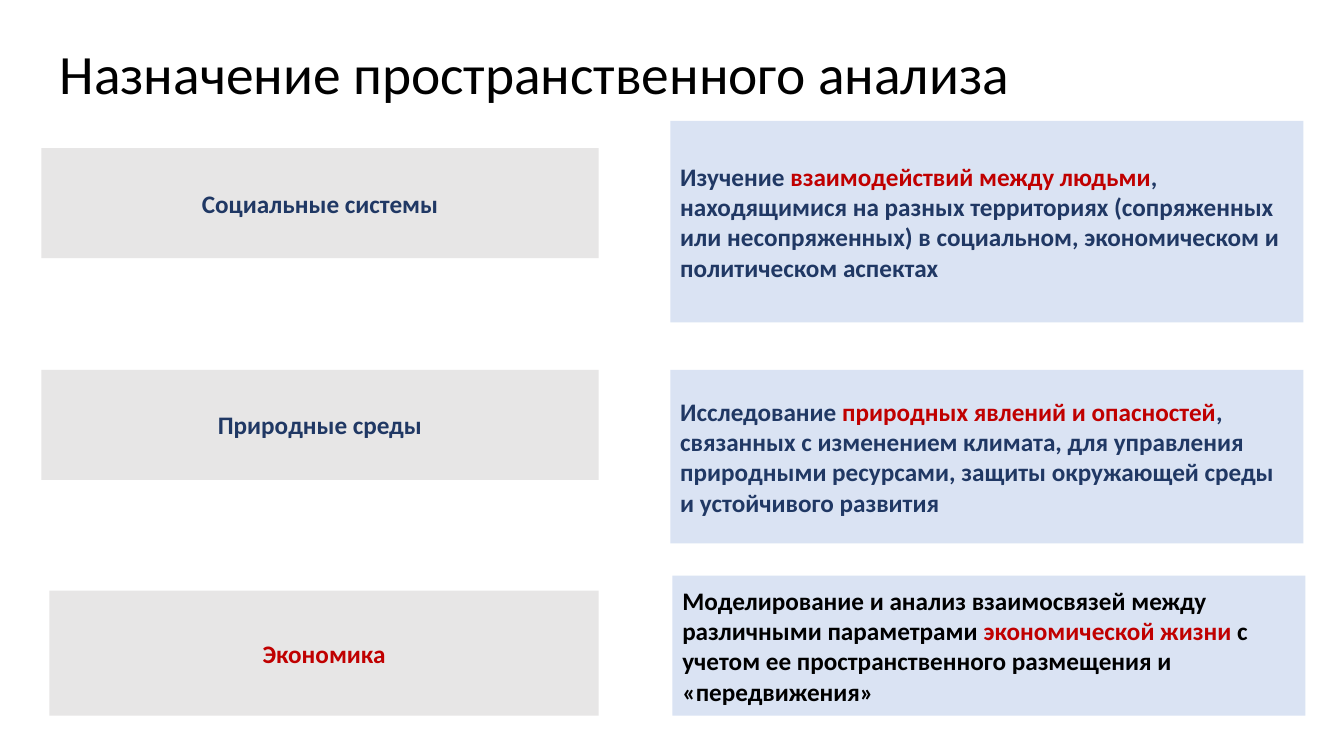
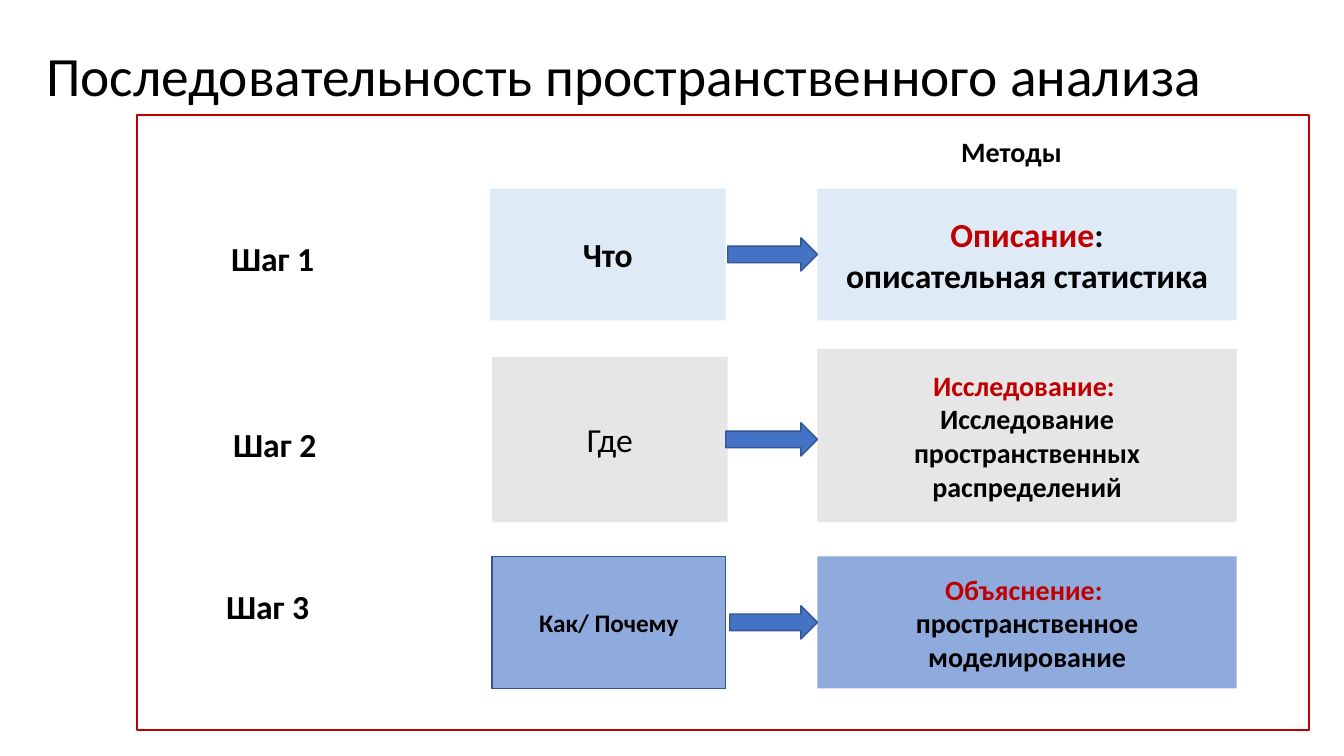
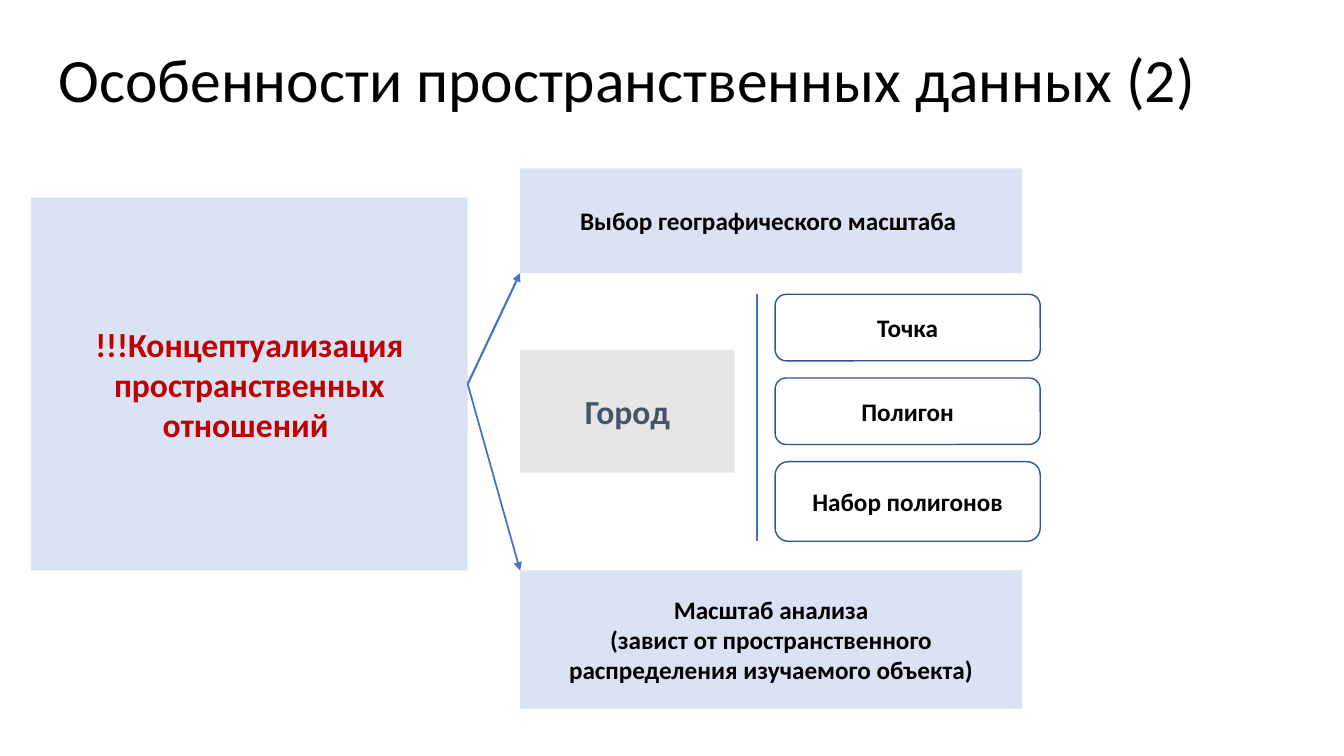
from lxml import etree
from pptx import Presentation
from pptx import util as u
from pptx.dml.color import RGBColor
from pptx.enum import shapes, text
from pptx.oxml.ns import qn

PX = 9144  # 100 px to the inch
FONT = "Calibri"
BLACK, RED, NAVY, SLATE = "000000", "C00000", "203864", "44546A"
GREY, PALE, SKY, MID = "E7E6E6", "DAE3F3", "DEEBF7", "8FAADC"
BLUE, EDGE = "4472C4", "325491"
KIND = shapes.MSO_SHAPE
LEFT, MIDDLE = text.PP_ALIGN.LEFT, text.PP_ALIGN.CENTER


def rgb(code):
    return RGBColor.from_string(code)


def px(*vals):
    return [u.Emu(round(v * PX)) for v in vals]


def style(font, size, color, bold):
    look = dict(name=FONT, size=u.Pt(size), bold=bold)
    for key, val in look.items():
        setattr(font, key, val)
    font.color.rgb = rgb(color)


def write(shape, words, size=18, color=BLACK, bold=True, align=MIDDLE):
    """Fill a shape with text: a line per paragraph, red between bars."""
    frame = shape.text_frame
    look = dict(word_wrap=True, auto_size=text.MSO_AUTO_SIZE.NONE,
                vertical_anchor=text.MSO_ANCHOR.MIDDLE)
    for key, val in look.items():
        setattr(frame, key, val)
    for i, line in enumerate(words.split("\n")):
        para = frame.add_paragraph() if i else frame.paragraphs[0]
        para.alignment = align
        for j, part in enumerate(line.split("|")):
            if part:
                run = para.add_run()
                run.text = part
                style(run.font, size, RED if j % 2 else color, bold)


def block(slide, box, fill=None, edge=None, width=1, kind=KIND.RECTANGLE):
    shape = slide.shapes.add_shape(kind, *px(*box))
    shape.shadow.inherit = False
    if fill:
        shape.fill.solid()
        shape.fill.fore_color.rgb = rgb(fill)
    else:
        shape.fill.background()
    if edge:
        shape.line.color.rgb = rgb(edge)
        shape.line.width = u.Pt(width)
    else:
        shape.line.fill.background()
    return shape


def label(slide, box, words, size):
    write(slide.shapes.add_textbox(*px(*box)), words, size)


def link(slide, start, end, width=1.5, arrow=False):
    line = slide.shapes.add_connector(
        shapes.MSO_CONNECTOR.STRAIGHT, *px(*start, *end))
    line.line.color.rgb = rgb(BLUE)
    line.line.width = u.Pt(width)
    if arrow:
        tip = etree.SubElement(line.line._get_or_add_ln(), qn("a:tailEnd"))
        tip.set("type", "triangle")
    etree.SubElement(line._element.spPr, qn("a:effectLst"))
    return line


def page(deck, title, box, size=39.6):
    slide = deck.slides.add_slide(deck.slide_layouts[5])
    head = slide.shapes.title
    head.left, head.top, head.width, head.height = px(*box)
    write(head, title, size, bold=False, align=LEFT)
    head.text_frame.paragraphs[0].line_spacing = 0.9
    return slide


def pair(slide, topic, name, hue, goal, note, tone):
    write(block(slide, topic, GREY), name, color=hue)
    write(block(slide, goal, PALE), note, color=tone, align=LEFT)


def goals(deck):
    slide = page(deck, "Назначение пространственного анализа",
                 (49, 40, 1232, 71))
    pair(slide, (41, 147, 553, 109), "Социальные системы", NAVY,
         (665, 120, 628, 200),
         "Изучение |взаимодействий между людьми|, находящимися на разных "
         "территориях (сопряженных или несопряженных) в социальном, "
         "экономическом и политическом аспектах", NAVY)
    pair(slide, (41, 367, 553, 109), "Природные среды", NAVY,
         (665, 367, 628, 172),
         "Исследование |природных явлений и опасностей|, связанных с "
         "изменением климата, для управления природными ресурсами, защиты "
         "окружающей среды и устойчивого развития", NAVY)
    pair(slide, (49, 586, 545, 124), "Экономика", RED,
         (667, 571, 628, 139),
         "Моделирование и анализ взаимосвязей между различными параметрами "
         "|экономической жизни |с учетом ее пространственного размещения и "
         "«передвижения»", BLACK)


def step(slide, box, fill, ask, method, tall, wide, gap, edge=None):
    """Question at the left, method at the right, bottoms level.

    ask and method are (words, size, bold); gap parts question and arrow.
    """
    x, y, w, h = box
    span, thick = 416, 33
    right = x + w - span
    top = y + h - tall
    write(block(slide, (x, top, wide, tall), fill, edge), *ask[:2],
          bold=ask[2])
    write(block(slide, (right, y, span, h), fill), *method)
    tail = x + wide + gap
    block(slide, (tail, top + (tall - thick) / 2, right - tail, thick),
          BLUE, EDGE, kind=KIND.RIGHT_ARROW)


def steps(deck):
    slide = page(deck, "Последовательность пространственного анализа",
                 (36, 40, 1263, 75))
    block(slide, (136, 114, 1163, 610), edge=RED, width=1.5)
    label(slide, (872, 114, 263, 72), "Методы", 20)
    marks = [(146, 218, 249, 75), (173, 399, 199, 84), (136, 552, 259, 99)]
    for i, box in enumerate(marks, 1):
        label(slide, box, f"Шаг {i}", 24)
    step(slide, (486, 187, 741, 131), SKY, ("Что", 24, True),
         ("|Описание|:\nописательная статистика", 24), 131, 234, 2)
    step(slide, (488, 346, 739, 172), GREY, ("Где", 24, False),
         ("|Исследование: |\nИсследование пространственных распределений",
          20), 164, 234, -2)
    step(slide, (488, 552, 739, 131), MID, ("Как/ Почему", 18, True),
         ("|Объяснение: |\nпространственное моделирование", 20),
         131, 232, 4, EDGE)


def forms(slide, box, names):
    """Rule at the left, then a stack of rounded boxes; the last is taller."""
    x, y, w, h = box
    link(slide, (x, y), (x, y + h))
    for i, name in enumerate(names):
        top = y + 83 * i
        high = 66 if i < len(names) - 1 else y + h - top
        write(block(slide, (x + 18, top, w - 18, high), edge=EDGE,
                    kind=KIND.ROUNDED_RECTANGLE), name)


def traits(deck):
    slide = page(deck, "Особенности пространственных данных (2)",
                 (48, 37, 1251, 89), 44)
    core = block(slide, (31, 196, 433, 370), PALE)
    write(core, "!!!Концептуализация пространственных отношений ", 24, RED)
    write(block(slide, (516, 167, 498, 104), PALE),
          "Выбор географического масштаба ")
    forms(slide, (751, 292, 281, 245), ["Точка", "Полигон", "Набор полигонов"])
    write(block(slide, (516, 347, 213, 122), GREY), "Город", 24, SLATE)
    write(block(slide, (516, 566, 498, 137), PALE),
          "Масштаб анализа\n(завист от пространственного распределения "
          "изучаемого объекта)")
    for y, width in ((271, 1.5), (566, 1.25)):
        line = link(slide, (464, 381), (516, y), width, arrow=True)
        line.begin_connect(core, 3)


def main():
    deck = Presentation()
    deck.slide_width, deck.slide_height = px(1333.33, 750)
    for build in (goals, steps, traits):
        build(deck)
    deck.save("out.pptx")


if __name__ == "__main__":
    main()
